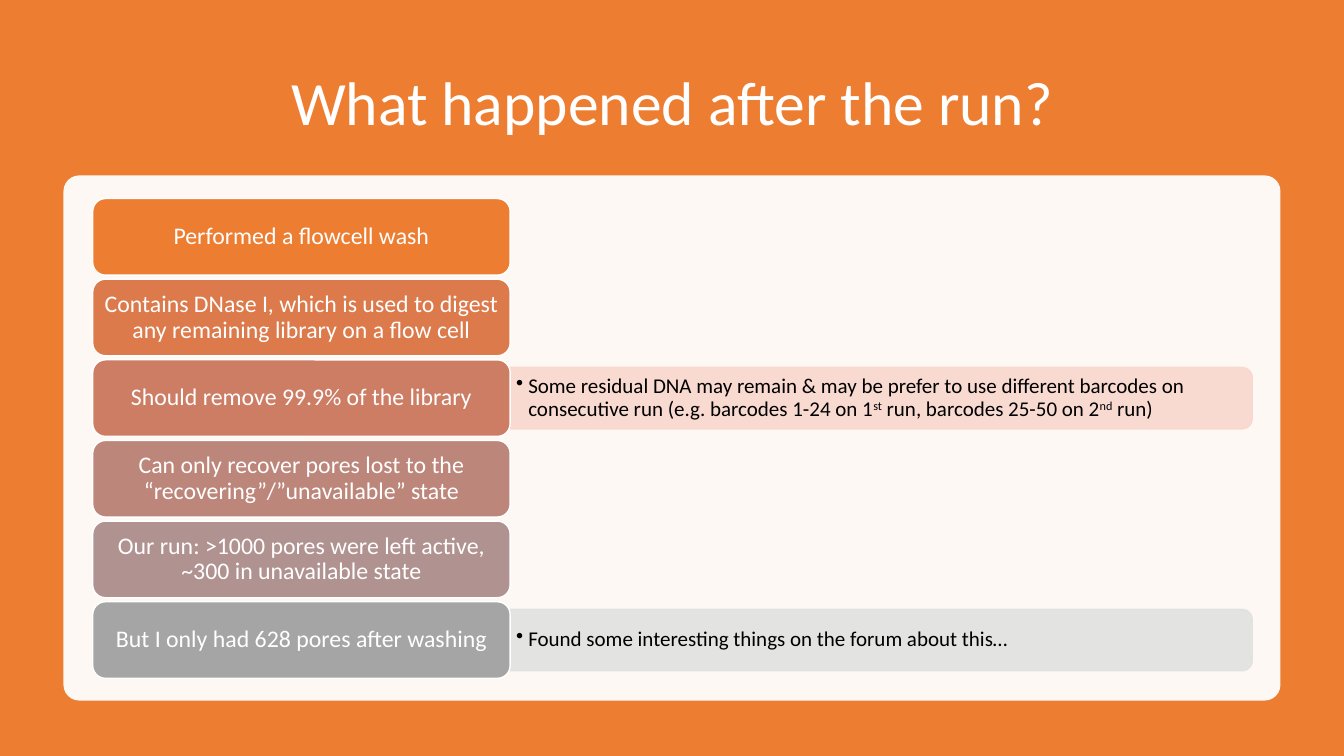
from lxml import etree
from pptx import Presentation
from pptx.dml.color import RGBColor
from pptx.enum.shapes import MSO_SHAPE
from pptx.enum.text import MSO_ANCHOR, PP_ALIGN
from pptx.oxml.ns import qn
from pptx.util import Inches, Pt

RECT = MSO_SHAPE.RECTANGLE
ROUNDED = MSO_SHAPE.ROUNDED_RECTANGLE
TOP_ROUNDED = MSO_SHAPE.ROUND_2_SAME_RECTANGLE
MIDDLE = MSO_ANCHOR.MIDDLE
CENTER, LEFT = PP_ALIGN.CENTER, PP_ALIGN.LEFT

ORANGE, WHITE, BLACK = "ED7D31", "FFFFFF", "000000"
TITLE_ONLY = 5

# Step: text, fill
STEPS = [
    ("Performed a flowcell wash", ORANGE),
    ("Contains DNase I, which is used to digest any remaining library on a flow cell", "DC7A4B"),
    ("Should remove 99.9% of the library", "CC7D64"),
    ("Can only recover pores lost to the “recovering”/”unavailable” state", "BD867B"),
    ("Our run: >1000 pores were left active, ~300 in unavailable state", "B09391"),
    ("But I only had 628 pores after washing", "A5A5A5"),
]
# Detail by step index: fill, text pieces (every second piece is superscript)
DETAILS = {
    2: ("F8D7CE", ["Some residual DNA may remain & may be prefer to use different barcodes on "
                   "consecutive run (e.g. barcodes 1-24 on 1", "st",
                   " run, barcodes 25-50 on 2", "nd", " run)"]),
    5: ("E1E1E1", ["Found some interesting things on the forum about this…"]),
}
STEP_LEFT, STEP_TOP, STEP_WIDTH, STEP_HEIGHT, STEP_PITCH = 0.92, 1.97, 4.14, 0.76, 0.8
DETAIL_LEFT, DETAIL_WIDTH, DETAIL_HEIGHT = STEP_LEFT + STEP_WIDTH, 7.36, 0.61


def color(hex_value):
    return RGBColor.from_string(hex_value)


def set_alpha(fill, percent):
    for clr in fill.iter(qn("a:srgbClr")):
        etree.SubElement(clr, qn("a:alpha")).set("val", str(percent * 1000))


class SlideBuilder:
    font = "Calibri"

    def __init__(self, slide):
        self.slide = slide

    def format_text(self, frame, size, text_color, align, margins):
        frame.word_wrap = True
        frame.vertical_anchor = MIDDLE
        frame.margin_left = frame.margin_right = Inches(margins[0])
        frame.margin_top = frame.margin_bottom = Inches(margins[1])
        paragraph = frame.paragraphs[0]
        paragraph.alignment = align
        paragraph.line_spacing = 0.9
        for run in paragraph.runs:
            run.font.name = self.font
            run.font.size = Pt(size)
            run.font.color.rgb = color(text_color)

    def box(self, kind, left, top, width, height, fill, line=None, alpha=None):
        shape = self.slide.shapes.add_shape(
            kind, Inches(left), Inches(top), Inches(width), Inches(height))
        shape.shadow.inherit = False
        shape.fill.solid()
        shape.fill.fore_color.rgb = color(fill)
        if line:
            shape.line.color.rgb = color(line)
            shape.line.width = Pt(1)
        else:
            shape.line.fill.background()
        if alpha:
            set_alpha(shape._element.spPr, alpha)
        return shape

    def title(self, text):
        title = self.slide.shapes.title
        title.left, title.top = Inches(0.92), Inches(0.5)
        title.width, title.height = Inches(11.5), Inches(1.1)
        title.text_frame.text = text
        self.format_text(title.text_frame, 44, WHITE, CENTER, (0.1, 0.05))
        # Bring the title in front of the backdrop
        self.slide.shapes._spTree.append(title._element)

    def step(self, top, text, fill):
        step = self.box(ROUNDED, STEP_LEFT, top, STEP_WIDTH, STEP_HEIGHT, fill, WHITE)
        step.text_frame.text = text
        self.format_text(step.text_frame, 17, WHITE, CENTER, (0.07, 0.04))

    def detail(self, middle, fill, pieces):
        # Upright bar turned so that its rounded end faces right
        center = DETAIL_LEFT + DETAIL_WIDTH / 2
        bar = self.box(TOP_ROUNDED, center - DETAIL_HEIGHT / 2, middle - DETAIL_WIDTH / 2,
                       DETAIL_HEIGHT, DETAIL_WIDTH, fill, fill, 90)
        bar.rotation = 90

        note = self.slide.shapes.add_textbox(
            Inches(DETAIL_LEFT), Inches(middle - 0.275), Inches(7.33), Inches(0.55))
        paragraph = note.text_frame.paragraphs[0]
        properties = paragraph._p.get_or_add_pPr()
        properties.set("marL", str(Inches(0.12)))
        properties.set("indent", str(-Inches(0.12)))
        etree.SubElement(properties, qn("a:buChar")).set("char", "•")
        for index, piece in enumerate(pieces):
            run = paragraph.add_run()
            run.text = piece
            if index % 2:
                run._r.get_or_add_rPr().set("baseline", "30000")
        self.format_text(note.text_frame, 15, BLACK, LEFT, (0.06, 0.03))


def main():
    presentation = Presentation()
    presentation.slide_width, presentation.slide_height = Inches(13.33), Inches(7.5)
    builder = SlideBuilder(
        presentation.slides.add_slide(presentation.slide_layouts[TITLE_ONLY]))

    # Backdrop, title and panel
    builder.box(RECT, 0, 0, 13.33, 7.5, ORANGE)
    builder.title("What happened after the run?")
    panel = builder.box(ROUNDED, 0.63, 1.74, 12.07, 5.21, WHITE, alpha=95)
    panel.adjustments[0] = 0.03

    # Steps with their details
    for row, (text, fill) in enumerate(STEPS):
        top = STEP_TOP + row * STEP_PITCH
        if row in DETAILS:
            builder.detail(top + STEP_HEIGHT / 2, *DETAILS[row])
        builder.step(top, text, fill)

    presentation.save("out.pptx")


if __name__ == "__main__":
    main()
